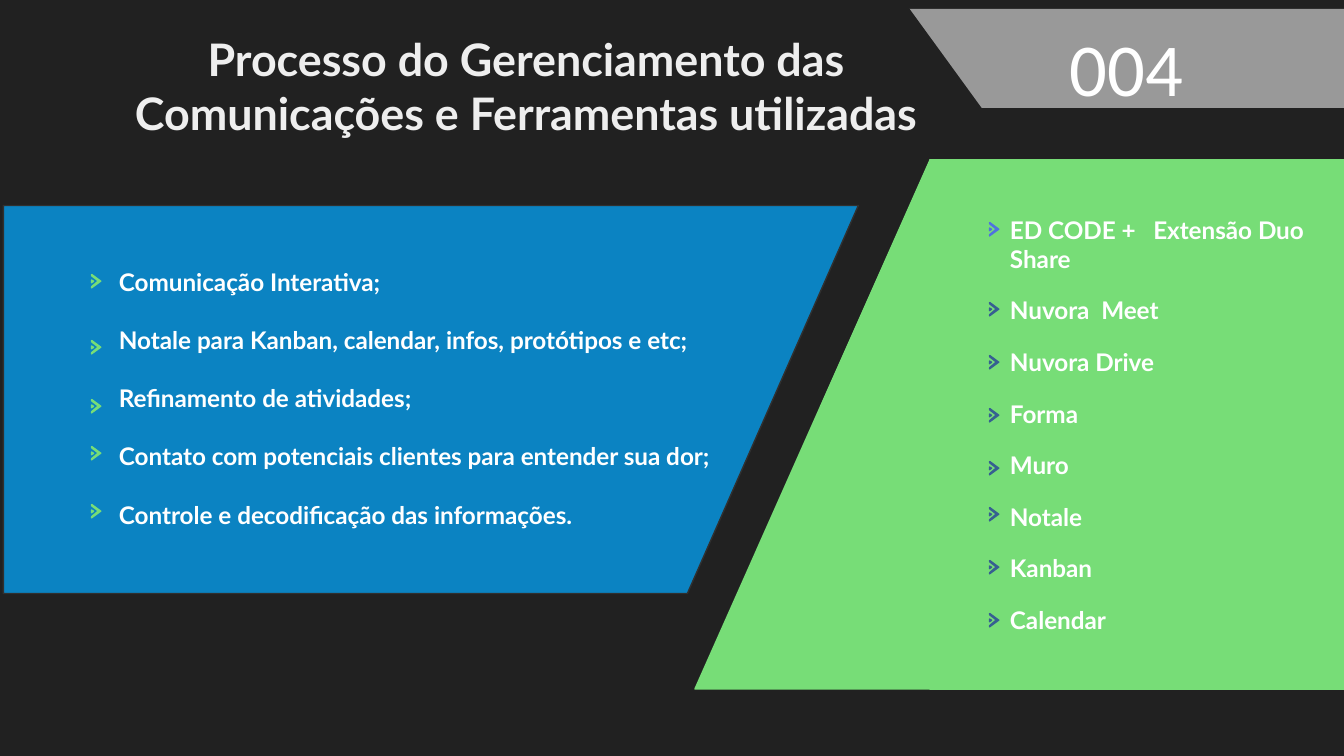
from dataclasses import dataclass

from pptx import Presentation
from pptx.dml.color import RGBColor
from pptx.enum.shapes import MSO_SHAPE
from pptx.enum.text import MSO_ANCHOR, PP_ALIGN
from pptx.util import Pt

RECT = MSO_SHAPE.RECTANGLE
WEDGE = MSO_SHAPE.RIGHT_TRIANGLE
SLANT = MSO_SHAPE.FLOWCHART_MANUAL_INPUT
TOP, MIDDLE = MSO_ANCHOR.TOP, MSO_ANCHOR.MIDDLE
LEFT, CENTER = PP_ALIGN.LEFT, PP_ALIGN.CENTER

SCALE = 914400 / 134.4  # EMU in one px
WIDTH, HEIGHT = 1344, 756

# Bullet outlines, in tenths of a px
ARROW = [(7, 0), (0, 5), (0, 16), (5, 26), (60, 69), (60, 74), (5, 119),
         (0, 128), (0, 140), (7, 147), (105, 76), (105, 69), (12, 0)]
DART = [(7, 54), (0, 59), (0, 90), (7, 94), (33, 78), (33, 69)]

HABITS = [
    "Comunicação Interativa;",
    "Notale para Kanban, calendar, infos, protótipos e etc;",
    "Refinamento de atividades;",
    "Contato com potenciais clientes para entender sua dor;",
    "Controle e decodificação das informações.",
]
TOOLS = ["ED CODE +   Extensão Duo Share", "Nuvora  Meet", "Nuvora Drive",
         "Forma", "Muro", "Notale", "Kanban", "Calendar"]
HABIT_TOPS = [274, 340, 399, 446, 504]
TOOL_TOPS = [222, 302, 355, 408, 461, 507, 560, 613]


@dataclass(frozen=True)
class Theme:
    back: str = "212121"
    blue: str = "0B83C2"
    edge: str = "303030"
    green: str = "77DD77"
    gray: str = "999999"
    sky: str = "4F73DE"
    navy: str = "366091"
    white: str = "FFFFFF"
    pale: str = "EEEEEE"
    font: str = "Lato"
    digit: str = "Calibri"
    head: int = 24
    body: int = 13
    page: int = 40


def px(num):
    return round(num * SCALE)


def rgb(code):
    return RGBColor.from_string(code)


class Deck:
    def __init__(self, theme):
        self.theme = theme
        self.file = Presentation()
        self.file.slide_width, self.file.slide_height = px(WIDTH), px(HEIGHT)
        self.slide = self.file.slides.add_slide(self.file.slide_layouts[5])
        fill = self.slide.background.fill
        fill.solid()
        fill.fore_color.rgb = rgb(theme.back)

    def paint(self, shape, fill, line=None):
        shape.shadow.inherit = False
        shape.fill.solid()
        shape.fill.fore_color.rgb = rgb(fill)
        if line:
            shape.line.color.rgb = rgb(line)
            shape.line.width = Pt(0.75)
        else:
            shape.line.fill.background()

    def block(self, kind, box, fill, line=None, flip=False, turn=0):
        shape = self.slide.shapes.add_shape(kind, *map(px, box))
        self.paint(shape, fill, line)
        shape.rotation = turn
        if flip:
            shape.element.spPr.xfrm.set("flipH", "1")
        return shape

    def label(self, shape, lines, size, color, font, bold=True,
              align=LEFT, anchor=TOP, gap=0, indent=0):
        """Fill a shape with paragraphs, gap points apart."""
        frame = shape.text_frame
        frame.word_wrap = True
        frame.vertical_anchor = anchor
        frame.margin_left = frame.margin_right = px(13)
        frame.margin_top = frame.margin_bottom = px(13)
        frame.text = "\n".join(lines)
        for num, para in enumerate(frame.paragraphs):
            para.alignment = align
            para.space_before = Pt(gap if num else 0)
            if indent:
                para._p.get_or_add_pPr().set("marL", str(px(indent)))
            for run in para.runs:
                run.font.name, run.font.size = font, Pt(size)
                run.font.bold = bold
                run.font.color.rgb = rgb(color)

    def items(self, shape, lines, gap, anchor=TOP):
        look = self.theme
        self.label(shape, lines, look.body, look.white, look.font,
                   anchor=anchor, gap=gap, indent=67)

    def area(self, box):
        return self.slide.shapes.add_textbox(*map(px, box))

    def mark(self, left, top, color):
        """Draw one arrow bullet with the small dart inside it."""
        group = self.slide.shapes.add_group_shape()
        for dots in (ARROW, DART):
            pen = group.shapes.build_freeform(*dots[0], scale=SCALE / 10)
            pen.add_line_segments(dots[1:], close=True)
            self.paint(pen.convert_to_shape(px(left), px(top)), color)

    def title(self, text, box):
        look = self.theme
        shape = self.slide.shapes.title
        shape.left, shape.top, shape.width, shape.height = map(px, box)
        self.label(shape, [text], look.head, look.pale, look.font,
                   align=CENTER)
        # The heading overlaps the corner wedge, so it goes in front
        shape.element.getparent().append(shape.element)


def main():
    look = Theme()
    deck = Deck(look)

    deck.block(SLANT, (237, -28, 388, 855), look.blue, look.edge,
               flip=True, turn=90)
    deck.items(deck.area((39, 254, 759, 292)), HABITS, gap=15.6)

    panel = deck.block(RECT, (930, 160, 414, 529), look.green, look.green)
    deck.items(panel, TOOLS, gap=12, anchor=MIDDLE)
    deck.block(WEDGE, (695, 160, 235, 529), look.green, look.green, flip=True)

    for num, top in enumerate(TOOL_TOPS):
        deck.mark(989, top, look.navy if num else look.sky)
    for top in HABIT_TOPS:
        deck.mark(91, top, look.green)

    badge = deck.block(RECT, (909, 9, 435, 99), look.gray)
    deck.label(badge, ["004"], look.page, look.white, look.digit,
               bold=False, align=CENTER)
    deck.block(WEDGE, (903, 0, 112, 154), look.back)

    deck.title("Processo do Gerenciamento das Comunicações "
               "e Ferramentas utilizadas", (71, 19, 910, 136))
    deck.file.save("out.pptx")


if __name__ == "__main__":
    main()
